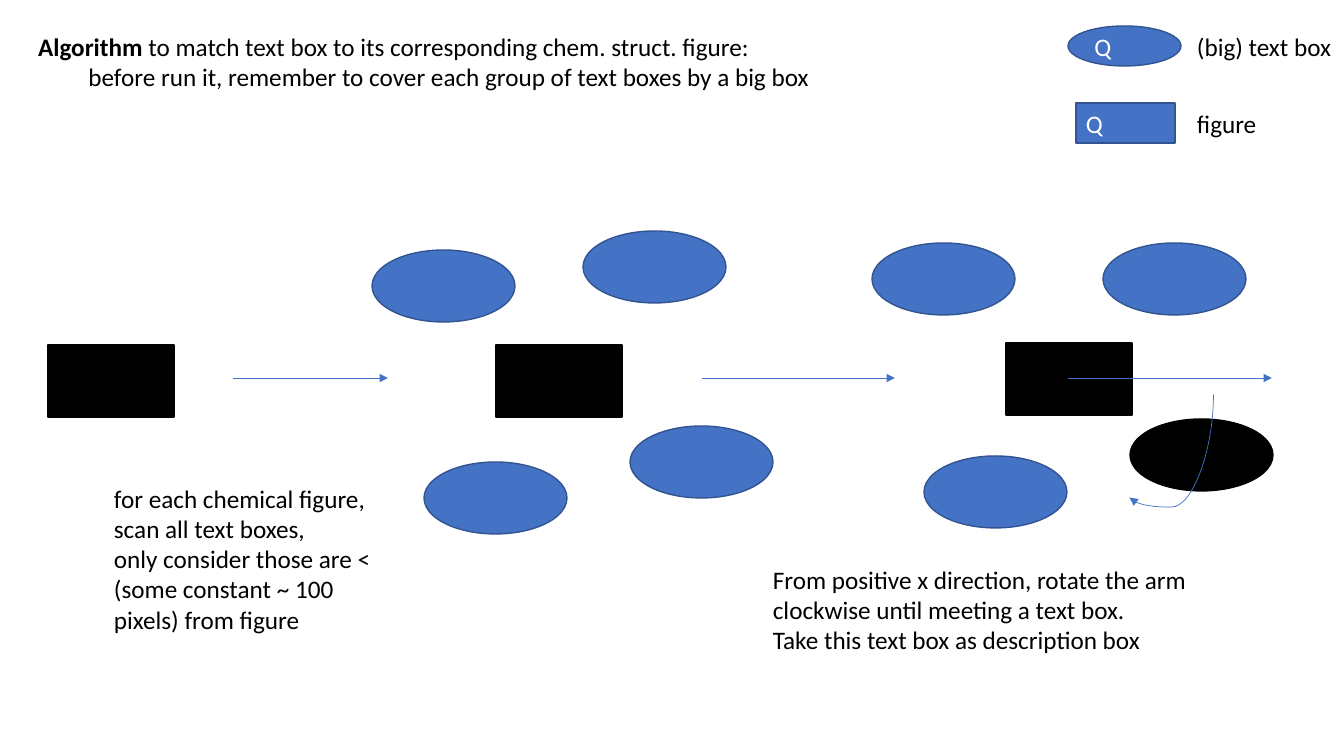
from dataclasses import dataclass

from lxml import etree
from pptx import Presentation
from pptx import util as u
from pptx.dml.color import RGBColor
from pptx.enum import shapes, text
from pptx.oxml.ns import qn


@dataclass(frozen=True)
class Theme:
    font: str = "Calibri"
    size: int = 18
    blue: str = "4472C4"
    edge: str = "325491"
    black: str = "000000"
    white: str = "FFFFFF"
    rim: float = 1
    thin: float = 0.5


T = Theme()
PX = 914400 / 100.8
OVAL, RECT = shapes.MSO_SHAPE.OVAL, shapes.MSO_SHAPE.RECTANGLE

# Content: lengths in px, boxes as left, top, width, height
LEAD = "Algorithm"
HEAD = [
    " to match text box to its corresponding chem. struct. figure:",
    "\tbefore run it, remember to cover each group of text boxes by a big box",
]
HEAD_BOX = (28, 26, 852, 72)
KEYS = [
    (OVAL, (1068, 26, 113, 40), "(big) text box", 156),
    (RECT, (1076, 103, 99, 40), "figure", 81),
]
KEY_X, KEY_MARK = 1187, "Q"
NOTES = [
    ((104, 478, 292, 163), "for each chemical figure,\nscan all text boxes,\n"
     "only consider those are < (some constant ~ 100 pixels) from figure"),
    ((763, 559, 451, 102), "From positive x direction, rotate the arm clockwise "
     "until meeting a text box.\nTake this text box as description box"),
]
BOXES = [(583, 231), (630, 426), (424, 462), (372, 250),
         (1103, 243), (924, 456), (872, 243)]
MATCH = (1130, 419)
BOX_SIZE = (143, 72)
FIGS = [(48, 345), (496, 345), (1006, 343)]
FIG_SIZE = (126, 72)
ARROWS = [(233, 388), (702, 895), (1068, 1272)]
ARROW_Y = 378
TURN = (1120, 404, 1223, 488)  # curve frame before its quarter turn
TURN_BEND = 109300


def emu(nums):
    return [u.Emu(round(n * PX)) for n in nums]


def rgb(code):
    return RGBColor.from_string(code)


def style(frame, color):
    for para in frame.paragraphs:
        for run in para.runs:
            run.font.name, run.font.size = T.font, u.Pt(T.size)
            run.font.color.rgb = rgb(color)


def shape(kind, box, fill, edge, label=""):
    item = slide.shapes.add_shape(kind, *emu(box))
    item.shadow.inherit = False
    item.fill.solid()
    item.fill.fore_color.rgb = rgb(fill)
    item.line.color.rgb = rgb(edge)
    item.line.width = u.Pt(T.rim)
    if label:
        item.text_frame.text = label
        style(item.text_frame, T.white)


def label(box, words, wrap):
    frame = slide.shapes.add_textbox(*emu(box)).text_frame
    frame.word_wrap = wrap
    frame.auto_size = text.MSO_AUTO_SIZE.SHAPE_TO_FIT_TEXT
    frame.text = words
    style(frame, T.black)


def arrow(kind, ends):
    item = slide.shapes.add_connector(kind, *emu(ends))
    item.line.color.rgb = rgb(T.blue)
    item.line.width = u.Pt(T.thin)
    props = item._element.spPr
    etree.SubElement(props.find(qn("a:ln")), qn("a:tailEnd"), type="triangle")
    etree.SubElement(props, qn("a:effectLst"))
    return props


# Slide
deck = Presentation()
deck.slide_width, deck.slide_height = emu((1344, 756))
slide = deck.slides.add_slide(deck.slide_layouts[5])

# Heading
title = slide.shapes.title
title.left, title.top, title.width, title.height = emu(HEAD_BOX)
frame = title.text_frame
frame.text = "\n".join([LEAD, HEAD[1]])
frame.paragraphs[0].add_run().text = HEAD[0]
frame.word_wrap = False
frame.auto_size = text.MSO_AUTO_SIZE.SHAPE_TO_FIT_TEXT
frame.vertical_anchor = text.MSO_ANCHOR.TOP
for para in frame.paragraphs:
    para.alignment = text.PP_ALIGN.LEFT
style(frame, T.black)
frame.paragraphs[0].runs[0].font.bold = True

# Legend
for kind, box, words, width in KEYS:
    shape(kind, box, T.blue, T.edge, KEY_MARK)
    label((KEY_X, box[1], width, box[3]), words, False)

# Text boxes and figures of the three steps
for spot in BOXES:
    shape(OVAL, spot + BOX_SIZE, T.blue, T.edge)
shape(OVAL, MATCH + BOX_SIZE, T.black, T.black)
for spot in FIGS:
    shape(RECT, spot + FIG_SIZE, T.black, T.black)
for box, words in NOTES:
    label(box, words, True)

# Arrows, then the clockwise turn
for left, right in ARROWS:
    arrow(shapes.MSO_CONNECTOR.STRAIGHT, (left, ARROW_Y, right, ARROW_Y))
props = arrow(shapes.MSO_CONNECTOR.CURVE, TURN)
props.find(qn("a:xfrm")).set("rot", str(90 * 60000))
bends = props.find(qn("a:prstGeom")).find(qn("a:avLst"))
etree.SubElement(bends, qn("a:gd"), name="adj1", fmla=f"val {TURN_BEND}")

deck.save("out.pptx")
